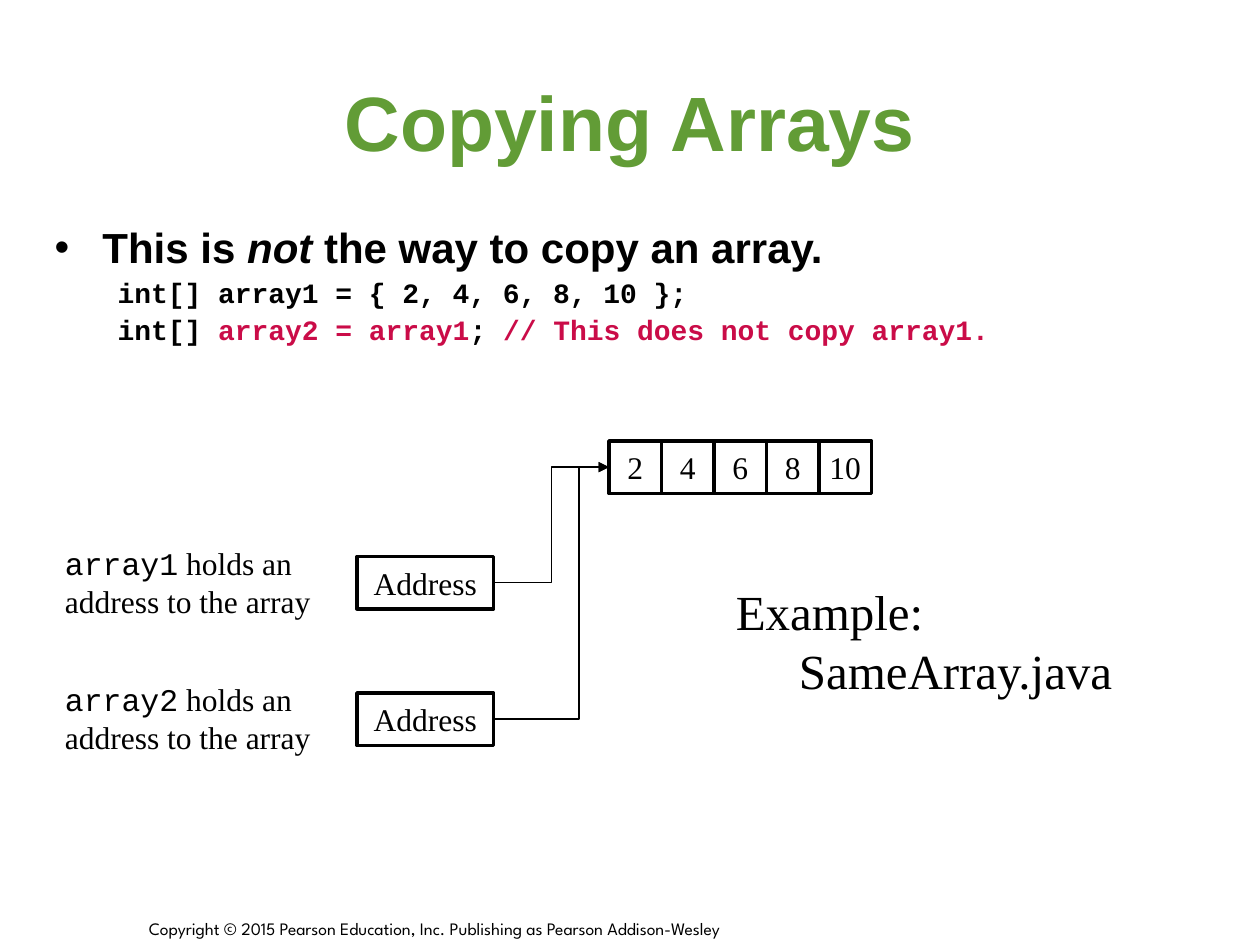
from dataclasses import dataclass

from lxml import etree
from pptx import Presentation
from pptx import util as u
from pptx.dml.color import RGBColor
from pptx.enum import shapes, text
from pptx.oxml import ns

PX = 7620


@dataclass(frozen=True)
class Theme:
    ink: str = "000000"
    paper: str = "FFFFFF"
    green: str = "629C36"
    red: str = "CA0C48"
    sans: str = "Arial"
    serif: str = "Times New Roman"
    mono: str = "Courier New"
    foot: str = "League Spartan"
    head: int = 44
    large: int = 28
    lead: int = 24
    base: int = 18
    code: int = 16
    small: int = 10


T = Theme()


@dataclass(frozen=True)
class Run:
    words: str
    face: str = T.serif
    size: int = T.base
    color: str = T.ink
    bold: bool = False
    slant: bool = False


@dataclass(frozen=True)
class Box:
    left: int
    top: int
    width: int
    height: int

    def place(self) -> dict:
        return {k: getattr(self, k) * PX for k in ("left", "top", "width", "height")}


@dataclass(frozen=True)
class Holder:
    name: str
    top: int


def style(item, values: dict) -> None:
    for key, value in values.items():
        setattr(item, key, value)


def add_tag(parent, tag: str, **values: str):
    node = etree.SubElement(parent, ns.qn(tag))
    for key, value in values.items():
        node.set(key, value)
    return node


def write(para, runs: list[Run], **values) -> None:
    style(para, values)
    for part in runs:
        run = para.add_run()
        run.text = part.words
        style(run.font, {"name": part.face, "size": u.Pt(part.size),
                         "bold": part.bold, "italic": part.slant})
        run.font.color.rgb = RGBColor.from_string(part.color)


def fill_text(frame, lines: list[list[Run]], **values) -> None:
    for i, runs in enumerate(lines):
        para = frame.add_paragraph() if i else frame.paragraphs[0]
        write(para, runs, **values)


def add_note(slide, box: Box, lines: list[list[Run]], **values):
    note = slide.shapes.add_textbox(**box.place())
    style(note.text_frame, {"word_wrap": False,
                            "auto_size": text.MSO_AUTO_SIZE.SHAPE_TO_FIT_TEXT, **values})
    fill_text(note.text_frame, lines)
    return note.text_frame


def add_cell(slide, box: Box, words: str) -> None:
    cell = slide.shapes.add_shape(shapes.MSO_SHAPE.RECTANGLE, **box.place())
    cell.shadow.inherit = False
    cell.fill.solid()
    cell.fill.fore_color.rgb = RGBColor.from_string(T.paper)
    cell.line.color.rgb = RGBColor.from_string(T.ink)
    cell.line.width = u.Pt(2)
    style(cell.text_frame, {"word_wrap": False, "vertical_anchor": text.MSO_ANCHOR.MIDDLE})
    fill_text(cell.text_frame, [[Run(words)]], alignment=text.PP_ALIGN.CENTER)


def add_arrow(slide, start: tuple[int, int], end: tuple[int, int], bend: float) -> None:
    arrow = slide.shapes.add_connector(
        shapes.MSO_CONNECTOR.ELBOW, *(n * PX for n in start + end))
    arrow.line.color.rgb = RGBColor.from_string(T.ink)
    arrow.line.width = u.Pt(0.75)
    add_tag(arrow.line._get_or_add_ln(), "a:tailEnd", type="triangle")
    props = arrow._element.spPr
    add_tag(props, "a:effectLst")
    guides = props.find(".//" + ns.qn("a:avLst"))
    add_tag(guides, "a:gd", name="adj1", fmla=f"val {round(bend * 100000)}")


def set_bullet(para, mark: str, left: float, hang: float) -> None:
    props = para._p.get_or_add_pPr()
    style_in = {"marL": left, "indent": -hang}
    for key, value in style_in.items():
        props.set(key, str(u.Inches(value)))
    if mark:
        add_tag(add_tag(props, "a:buClr"), "a:srgbClr", val=T.ink)
        add_tag(props, "a:buFont", typeface=T.sans)
        add_tag(props, "a:buChar", char=mark)
    else:
        add_tag(props, "a:buNone")


def fill_title(slide) -> None:
    title = slide.shapes.title
    style(title, Box(60, 40, 1080, 150).place())
    style(title.text_frame, {"vertical_anchor": text.MSO_ANCHOR.MIDDLE,
                             "auto_size": text.MSO_AUTO_SIZE.NONE})
    fill_text(title.text_frame, [[Run("Copying Arrays", T.sans, T.head, T.green, True)]],
              alignment=text.PP_ALIGN.CENTER)


def fill_body(slide) -> None:
    def lead(words: str, slant: bool = False) -> Run:
        return Run(words, T.sans, T.lead, T.ink, True, slant)

    def code(words: str, color: str = T.ink) -> Run:
        return Run(words, T.mono, T.code, color, True)

    lines = [
        [lead("This is "), lead("not", True), lead(" the way to copy an array.")],
        [code("int[] array1 = { 2, 4, 6, 8, 10 };")],
        [code("int[] "), code("array2 = array1", T.red), code("; "),
         code("// This does not copy array1.", T.red)],
    ]
    body = slide.placeholders[1]
    style(body, Box(40, 210, 1088, 184).place())
    frame = body.text_frame
    frame.auto_size = text.MSO_AUTO_SIZE.NONE
    for i, runs in enumerate(lines):
        para = frame.add_paragraph() if i else frame.paragraphs[0]
        set_bullet(para, *(("", 0.81, 0.31) if i else ("•", 0.38, 0.38)))
        write(para, runs, level=min(i, 1), line_spacing=0.9,
              space_before=u.Pt(4 if i else 0))


def draw_array(slide) -> None:
    side, left, top = 50, 580, 420
    for i, value in enumerate((2, 4, 6, 8, 10)):
        add_cell(slide, Box(left + i * side, top, side, side), str(value))
    for holder, bend in ((Holder("array1", 530), 0.5), (Holder("array2", 660), 0.74)):
        add_cell(slide, Box(340, holder.top, 130, side), "Address")
        add_note(slide, Box(50, holder.top - 18, 258, 84),
                 [[Run(holder.name, T.mono), Run(" holds an")],
                  [Run("address to the array")]])
        add_arrow(slide, (470, holder.top + side // 2), (left, top + side // 2), bend)


def main() -> None:
    deck = Presentation()
    style(deck, {"slide_width": 1200 * PX, "slide_height": 900 * PX})
    slide = deck.slides.add_slide(deck.slide_layouts[1])
    fill_title(slide)
    fill_body(slide)
    draw_array(slide)
    sample = add_note(slide, Box(689, 548, 385, 125), [[Run("Example:", size=T.large)]])
    para = sample.paragraphs[0]
    set_bullet(para, "", 0.5, 0.5)
    para.add_line_break()
    write(para, [Run("SameArray.java", size=T.large)])
    add_note(slide, Box(130, 860, 859, 40),
             [[Run("Copyright © 2015 Pearson Education, Inc. Publishing as Pearson Addison-Wesley",
                   T.foot, T.small)]],
             word_wrap=True, auto_size=text.MSO_AUTO_SIZE.NONE,
             vertical_anchor=text.MSO_ANCHOR.BOTTOM)
    deck.save("out.pptx")


if __name__ == "__main__":
    main()
